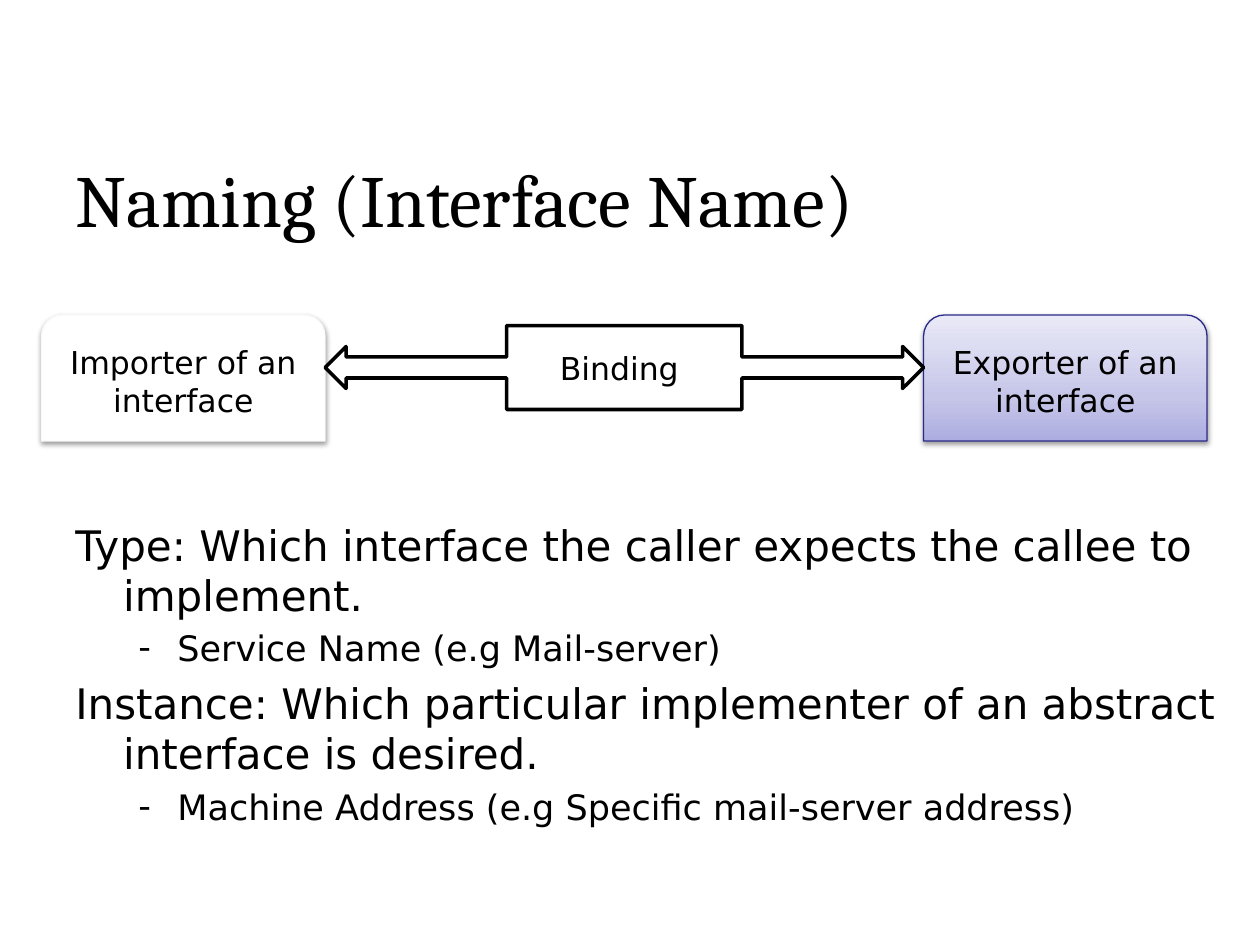
from lxml.etree import SubElement
from pptx import Presentation
from pptx.dml.color import RGBColor
from pptx.enum.shapes import MSO_SHAPE
from pptx.enum.text import MSO_ANCHOR, MSO_AUTO_SIZE, PP_ALIGN
from pptx.oxml.ns import qn
from pptx.util import Inches, Pt

COLORS = {
    "text": "000000", "paper": "FFFFFF", "importer_edge": "F9F9F9",
    "exporter_edge": "2A2A89", "shadow": "000000",
    "grad_low": "ADADE1", "grad_mid": "C6C6E9", "grad_high": "E9E9F7",
}
HEADING_FONT, BODY_FONT = "Cambria", "DejaVu Sans"

# Each level: text size, left margin, first-line indent, bullet
LEVELS = [(24, 0.38, -0.38, None), (20, 0.81, -0.31, "-")]
POINTS = [
    (0, "Type: Which interface the caller expects the callee to implement."),
    (1, "Service Name (e.g Mail-server)"),
    (0, "Instance: Which particular implementer of an abstract interface is desired."),
    (1, "Machine Address (e.g Specific mail-server address)"),
]


def rgb(name):
    return RGBColor.from_string(COLORS[name])


def style_text(paragraph, size, font=BODY_FONT):
    for run in paragraph.runs:
        run.font.size = Pt(size)
        run.font.name = font
        run.font.color.rgb = rgb("text")


def add_color(parent, name, alpha=None):
    color = SubElement(parent, qn("a:srgbClr"), val=COLORS[name])
    if alpha is not None:
        SubElement(color, qn("a:alpha"), val=str(alpha * 1000))


def add_shadow(shape):
    effects = shape._element.spPr.find(qn("a:effectLst"))
    shadow = SubElement(effects, qn("a:outerShdw"), blurRad=str(Pt(3.1)),
                        dist=str(Pt(1.6)), dir="5400000", rotWithShape="0")
    add_color(shadow, "shadow", 38)


def fill_gradient(shape):
    shape.fill.gradient()
    shape.fill.gradient_angle = 90
    stops = shape._element.spPr.find(qn("a:gradFill")).find(qn("a:gsLst"))
    stops.clear()
    for share, name in [(0, "grad_low"), (35, "grad_mid"), (100, "grad_high")]:
        add_color(SubElement(stops, qn("a:gs"), pos=str(share * 1000)), name)


def add_node(slide, kind, box, label, edge, weight):
    node = slide.shapes.add_shape(kind, *map(Inches, box))
    node.shadow.inherit = False
    node.fill.solid()
    node.fill.fore_color.rgb = rgb("paper")
    node.line.color.rgb = rgb(edge)
    node.line.width = Pt(weight)
    frame = node.text_frame
    frame.text = label
    frame.word_wrap = True
    frame.vertical_anchor = MSO_ANCHOR.MIDDLE
    frame.paragraphs[0].alignment = PP_ALIGN.CENTER
    style_text(frame.paragraphs[0], 18)
    return node


def place_title(slide, box):
    title = slide.shapes.title
    title.left, title.top, title.width, title.height = map(Inches, box)
    frame = title.text_frame
    frame.text = "Naming (Interface Name)"
    frame.auto_size = MSO_AUTO_SIZE.NONE
    frame.vertical_anchor = MSO_ANCHOR.MIDDLE
    heading = frame.paragraphs[0]
    heading.alignment = PP_ALIGN.LEFT
    heading.line_spacing = 0.9
    style_text(heading, 42, HEADING_FONT)


def place_binding_diagram(slide, box):
    left, top, width, height = box
    end_width = 2.25
    right = left + width - end_width
    importer = add_node(slide, MSO_SHAPE.ROUND_2_SAME_RECTANGLE,
                        (left, top, end_width, height),
                        "Importer of an interface", "importer_edge", 0.75)
    exporter = add_node(slide, MSO_SHAPE.ROUND_2_SAME_RECTANGLE,
                        (right, top, end_width, height),
                        "Exporter of an interface", "exporter_edge", 0.75)
    fill_gradient(exporter)
    for end in (importer, exporter):
        add_shadow(end)

    # The binding spans the gap between the two ends
    binding = add_node(slide, MSO_SHAPE.LEFT_RIGHT_ARROW_CALLOUT,
                       (left + end_width, top + height / 12,
                        width - 2 * end_width, height * 2 / 3),
                       "Binding ", "text", 2)
    for index, share in enumerate((0.25, 0.25, 0.25, 0.393)):
        binding.adjustments[index] = share


def place_points(slide, box):
    frame = slide.shapes.add_textbox(*map(Inches, box)).text_frame
    frame.word_wrap = True
    for index, (level, text) in enumerate(POINTS):
        point = frame.paragraphs[0] if index == 0 else frame.add_paragraph()
        size, margin, indent, bullet = LEVELS[level]
        point.text = text
        point.level = level
        point.space_before = Pt(size * 0.2)
        style_text(point, size)
        props = point._p.get_or_add_pPr()
        props.set("marL", str(Inches(margin)))
        props.set("indent", str(Inches(indent)))
        if bullet:
            SubElement(props, qn("a:buFont"), typeface=BODY_FONT)
            SubElement(props, qn("a:buChar"), char=bullet)
        else:
            SubElement(props, qn("a:buNone"))


def main():
    deck = Presentation()
    deck.slide_width, deck.slide_height = Inches(10), Inches(7.5)
    slide = deck.slides.add_slide(deck.slide_layouts[5])
    place_title(slide, (0.5, 1.25, 7.92, 0.73))
    place_points(slide, (0.5, 4.07, 9.5, 2.69))
    place_binding_diagram(slide, (0.33, 2.5, 9.25, 1))
    deck.save("out.pptx")


if __name__ == "__main__":
    main()
